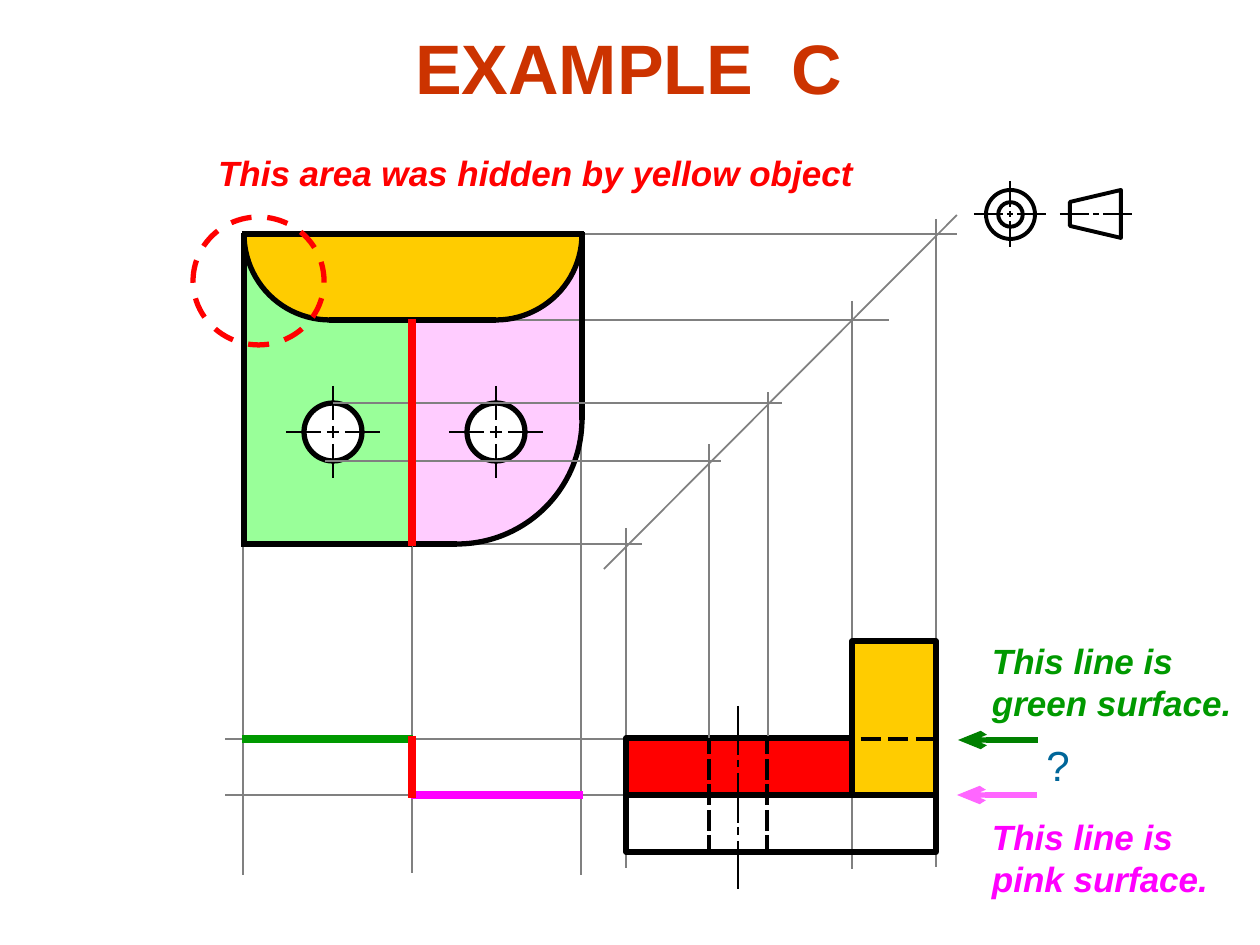
from dataclasses import dataclass
from math import cos, radians, sin

from lxml.etree import SubElement
from pptx import Presentation
from pptx.dml.color import RGBColor
from pptx.enum.dml import MSO_LINE
from pptx.enum.shapes import MSO_CONNECTOR, MSO_SHAPE
from pptx.enum.text import MSO_ANCHOR, MSO_AUTO_SIZE, PP_ALIGN
from pptx.oxml.ns import qn
from pptx.util import Emu, Pt

SCALE = 914400 / 126


@dataclass(frozen=True)
class Theme:
    font: str = "Arial"
    title: int = 40
    note: int = 20
    mark: int = 24
    rust: str = "CC3300"
    black: str = "000000"
    white: str = "FFFFFF"
    gray: str = "808080"
    red: str = "FF0000"
    gold: str = "FFCC00"
    pink: str = "FFCCFF"
    mint: str = "99FF99"
    green: str = "009900"
    dark: str = "008000"
    rose: str = "FF66FF"
    hot: str = "FF00FF"
    blue: str = "006699"


def emu(px):
    return Emu(round(px * SCALE))


def arc(x, y, r, start, end):
    """Points along a circle, with angles clockwise from the right."""
    steps = 18
    turns = [radians(start + (end - start) * i / steps) for i in range(steps + 1)]
    return [(x + r * cos(t), y + r * sin(t)) for t in turns]


class Sheet:
    def __init__(self, deck, theme):
        self.theme = theme
        self.slide = deck.slides.add_slide(deck.slide_layouts[5])
        self.shapes = self.slide.shapes

    def paint(self, shape, fill, color, weight):
        shape.shadow.inherit = False
        if fill:
            shape.fill.solid()
            shape.fill.fore_color.rgb = RGBColor.from_string(fill)
        else:
            shape.fill.background()
        if color:
            shape.line.color.rgb = RGBColor.from_string(color)
            shape.line.width = Pt(weight)
        else:
            shape.line.fill.background()
        return shape

    def shape(self, kind, at, fill=None, color=Theme.black, weight=3):
        item = self.shapes.add_shape(kind, *map(emu, at))
        return self.paint(item, fill, color, weight)

    def poly(self, points, fill=None, color=Theme.black, weight=0.75):
        first, *rest = [(emu(x), emu(y)) for x, y in points]
        path = self.shapes.build_freeform(*first)
        path.add_line_segments(rest, close=True)
        return self.paint(path.convert_to_shape(), fill, color, weight)

    def curve(self, x, y, r, start):
        item = self.shape(MSO_SHAPE.ARC, (x - r, y - r, 2 * r, 2 * r))
        # Arc angles are stored in 1/60000 degree, adjustments in 1/100000.
        for i, angle in enumerate((start, start + 90)):
            item.adjustments[i] = angle * 0.6

    def line(self, ends, color=Theme.black, weight=3.0, arrow=False):
        item = self.shapes.add_connector(MSO_CONNECTOR.STRAIGHT, *map(emu, ends))
        item.line.color.rgb = RGBColor.from_string(color)
        item.line.width = Pt(weight)
        props = item._element.spPr
        if arrow:
            SubElement(props.find(qn("a:ln")), qn("a:tailEnd"),
                       type="arrow", w="med", len="lg")
        SubElement(props, qn("a:effectLst"))

    def cross(self, x, y, tick, gap, across, down, weight):
        """Centre mark; a down reach of 0 leaves out the upright axis."""
        for a, b in ((-across, -gap), (-tick, tick), (gap, across)):
            self.line((x + a, y, x + b, y), weight=weight)
        if down:
            for a, b in ((-down, -gap), (-tick, tick), (gap, down)):
                self.line((x, y + a, x, y + b), weight=weight)

    def fill(self, box, text, size, color, pad=(13, 6), align=PP_ALIGN.LEFT,
             bold=True, italic=False):
        frame = box.text_frame
        side, top = map(emu, pad)
        style = dict(word_wrap=False, auto_size=MSO_AUTO_SIZE.NONE,
                     vertical_anchor=MSO_ANCHOR.TOP, margin_left=side,
                     margin_right=side, margin_top=top, margin_bottom=top)
        for key, value in style.items():
            setattr(frame, key, value)
        frame.text = text
        face = dict(name=self.theme.font, size=Pt(size), bold=bold, italic=italic)
        for para in frame.paragraphs:
            para.alignment = align
            for key, value in face.items():
                setattr(para.font, key, value)
            para.font.color.rgb = RGBColor.from_string(color)

    def title(self, at, text):
        box = self.shapes.title
        for key, value in zip(("left", "top", "width", "height"), at):
            setattr(box, key, emu(value))
        self.fill(box, text, self.theme.title, self.theme.rust,
                  align=PP_ALIGN.CENTER)

    def text(self, at, *args, **style):
        self.fill(self.shapes.add_textbox(*map(emu, at)), *args, **style)


def main():
    deck = Presentation()
    deck.slide_width, deck.slide_height = emu(1260), emu(945)
    t = Theme()
    s = Sheet(deck, t)
    s.title((379, 18, 500, 97), "EXAMPLE  C")

    # Coloured surfaces
    step, post, base = (626, 738, 226, 57), (852, 641, 84, 154), (626, 795, 310, 57)
    s.shape(MSO_SHAPE.RECTANGLE, step, t.red, weight=0.75)
    s.shape(MSO_SHAPE.RECTANGLE, post, t.gold, weight=0.75)
    right, left = arc(496, 234, 86, 0, 90), arc(330, 234, 86, 90, 180)
    s.poly([(414, 320), (414, 544), *arc(457, 419, 125, 90, 0), *right], t.pink)
    s.poly([(244, 544), (413, 544), (413, 320), *left], t.mint)
    s.poly([(244, 234), (582, 234), *right, *left], t.gold, None)

    # Projection lines
    for ends in ((604, 569, 957, 215), (471, 544, 642, 544), (581, 234, 957, 234),
                 (626, 528, 626, 868), (936, 219, 936, 867), (508, 320, 889, 320),
                 (852, 301, 852, 869), (243, 542, 243, 875), (581, 433, 581, 875),
                 (626, 739, 225, 739), (412, 542, 412, 873), (626, 795, 225, 795)):
        s.line(ends, t.gray, 1)

    # Projection symbol
    ring = s.shape(MSO_SHAPE.DONUT, (986, 190, 49, 49), weight=2.25)
    ring.adjustments[0] = 0.25
    s.poly([(1121, 190), (1121, 238), (1070, 226), (1070, 202)], weight=2.25)
    s.cross(1010, 214, 3, 7, 36, 33, 1)
    s.cross(1096, 214, 3, 7, 36, 0, 1)

    # Front view outline
    s.curve(496, 234, 86, 0)
    s.curve(330, 234, 86, 90)
    s.curve(457, 419, 125, 0)
    for ends in ((329, 320, 496, 320), (242, 234, 584, 234), (582, 232, 582, 420),
                 (457, 544, 413, 544), (244, 233, 244, 547), (413, 320, 413, 546),
                 (412, 544, 242, 544)):
        s.line(ends)
    for x in (333, 496):
        s.shape(MSO_SHAPE.OVAL, (x - 29, 403, 58, 58), t.white)
        s.cross(x, 432, 6, 12, 47, 46, 1.5)

    # Side view outline with hidden edges and hole axis
    for at in (base, step, post):
        s.shape(MSO_SHAPE.RECTANGLE, at)
    for top, end in ((737, 754), (759, 780), (784, 805), (810, 831), (835, 852)):
        for x in (709, 767):
            s.line((x, top, x, end), weight=2)
    for top, end in ((706, 755), (760, 767), (773, 823), (827, 835), (841, 889)):
        s.line((738, top, 738, end), weight=1.5)
    for x in (861, 888, 916):
        s.line((x, 739, x + 20, 739), weight=2)

    # Hole projections
    for ends in ((333, 403, 782, 403), (325, 461, 721, 461),
                 (709, 738, 709, 444), (768, 736, 768, 392)):
        s.line(ends, t.gray, 0.75)

    # Notes and callouts
    s.text((1046, 740, 24, 50), "?", t.mark, t.blue, pad=(0, 0),
           align=PP_ALIGN.CENTER, bold=False)
    ring = s.shape(MSO_SHAPE.OVAL, (193, 217, 131, 128), color=t.red)
    ring.line.dash_style = MSO_LINE.DASH
    for at, text, color in (
            ((205, 145, 660, 55), "This area was hidden by yellow object", t.red),
            ((979, 633, 265, 97), "This line is\ngreen surface.", t.green),
            ((979, 809, 241, 97), "This line is\npink surface.", t.hot)):
        s.text(at, text, t.note, color, italic=True)
    s.line((1038, 740, 958, 740), t.dark, arrow=True)
    s.line((1037, 795, 957, 795), t.rose, arrow=True)

    # Highlighted edges
    for ends, color in (((242, 739, 413, 739), t.green), ((411, 795, 583, 795), t.hot),
                        ((412, 319, 412, 546), t.red), ((412, 736, 412, 798), t.red)):
        s.line(ends, color, 4.5)

    deck.save("out.pptx")


if __name__ == "__main__":
    main()
